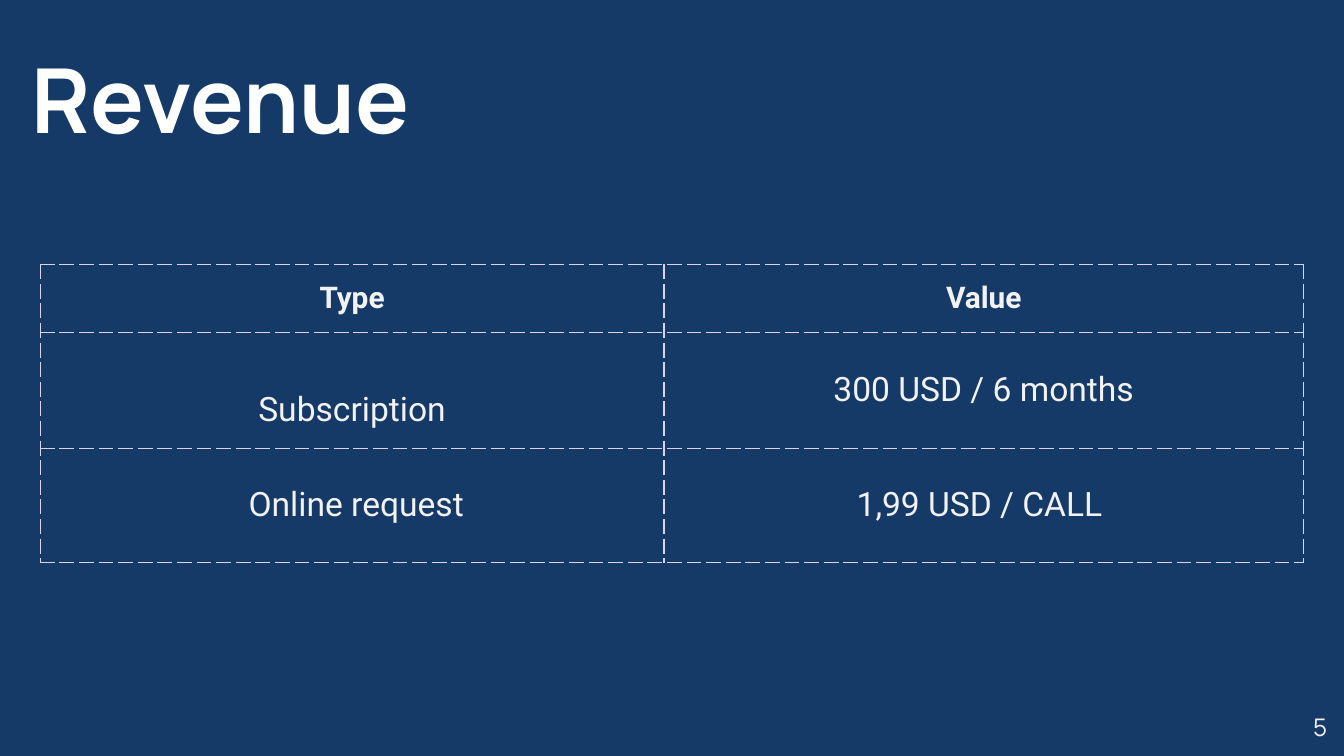
from dataclasses import dataclass

from lxml import etree
from pptx import Presentation
from pptx.dml.color import RGBColor
from pptx.enum.text import MSO_ANCHOR, MSO_AUTO_SIZE, PP_ALIGN
from pptx.oxml.ns import qn
from pptx.util import Pt

LEFT, CENTER, RIGHT = PP_ALIGN.LEFT, PP_ALIGN.CENTER, PP_ALIGN.RIGHT
MIDDLE, BOTTOM = MSO_ANCHOR.MIDDLE, MSO_ANCHOR.BOTTOM
NO_AUTOFIT = MSO_AUTO_SIZE.NONE
EMU_PER_PX = 4572
COLORS = {"navy": "153A68", "white": "FFFFFF", "text": "F2F2F2", "border": "D8D5EB"}


@dataclass(frozen=True)
class Style:
    font: str
    size: int
    color: str
    bold: bool
    align: PP_ALIGN


@dataclass(frozen=True)
class CellText:
    text: str
    style: Style
    spacing: float = 1.0


TITLE = Style("Manrope", 48, "white", True, LEFT)
NUMBER = Style("Manrope", 13, "text", False, RIGHT)
HEADER = Style("Roboto", 16, "text", True, CENTER)
BODY = Style("Roboto", 18, "text", False, CENTER)

COL_WIDTHS = [928, 952]
ROW_HEIGHTS = [101, 172, 170]
ROWS = [
    [CellText("Type", HEADER), CellText("Value", HEADER)],
    [CellText("Subscription", BODY, 2.0), CellText("300 USD / 6 months", BODY)],
    [CellText(" Online request", BODY), CellText("1,99 USD / CALL ", BODY)],
]


def px(n: int) -> int:
    return n * EMU_PER_PX


def rgb(name: str) -> RGBColor:
    return RGBColor.from_string(COLORS[name])


def write(tf, text: str, style: Style, spacing: float = 1.0) -> None:
    tf.text = text
    p = tf.paragraphs[0]
    p.alignment = style.align
    p.line_spacing = spacing
    for r in p.runs:
        r.font.name = style.font
        r.font.size = Pt(style.size)
        r.font.bold = style.bold
        r.font.color.rgb = rgb(style.color)


def fill_box(sp, box: tuple[int, int, int, int], text: str, style: Style, anchor: MSO_ANCHOR) -> None:
    sp.left, sp.top, sp.width, sp.height = map(px, box)
    tf = sp.text_frame
    tf.word_wrap = True
    tf.auto_size = NO_AUTOFIT
    tf.margin_left = tf.margin_top = tf.margin_right = tf.margin_bottom = 0
    tf.vertical_anchor = anchor
    write(tf, text, style)


def add_borders(cell) -> None:
    tc_pr = cell._tc.get_or_add_tcPr()
    for side in ("lnL", "lnR", "lnT", "lnB"):
        ln = etree.SubElement(tc_pr, qn(f"a:{side}"), w=str(Pt(0.75)))
        fill = etree.SubElement(ln, qn("a:solidFill"))
        etree.SubElement(fill, qn("a:srgbClr"), val=COLORS["border"])
        etree.SubElement(ln, qn("a:prstDash"), val="dash")


def fill_cell(cell, item: CellText) -> None:
    cell.margin_left = cell.margin_right = px(20)
    cell.margin_top = cell.margin_bottom = px(14)
    cell.vertical_anchor = MIDDLE
    write(cell.text_frame, item.text, item.style, item.spacing)
    add_borders(cell)
    cell.fill.background()


def add_revenue_table(slide, left: int, top: int) -> None:
    frame = slide.shapes.add_table(
        len(ROWS), len(COL_WIDTHS), px(left), px(top), px(sum(COL_WIDTHS)), px(sum(ROW_HEIGHTS))
    )
    table = frame.table
    table.horz_banding = False
    table.first_row = False
    for col, width in zip(table.columns, COL_WIDTHS):
        col.width = px(width)
    for row, height, items in zip(table.rows, ROW_HEIGHTS, ROWS):
        row.height = px(height)
        for cell, item in zip(row.cells, items):
            fill_cell(cell, item)


def main() -> None:
    prs = Presentation()
    prs.slide_width, prs.slide_height = px(2000), px(1125)
    slide = prs.slides.add_slide(prs.slide_layouts[5])
    bg = slide.background.fill
    bg.solid()
    bg.fore_color.rgb = rgb("navy")
    fill_box(slide.shapes.title, (47, 38, 1378, 188), "Revenue", TITLE, BOTTOM)
    add_revenue_table(slide, 60, 394)
    fill_box(slide.shapes.add_textbox(0, 0, 0, 0), (1855, 1039, 120, 86), "5", NUMBER, MIDDLE)
    prs.save("out.pptx")


if __name__ == "__main__":
    main()
